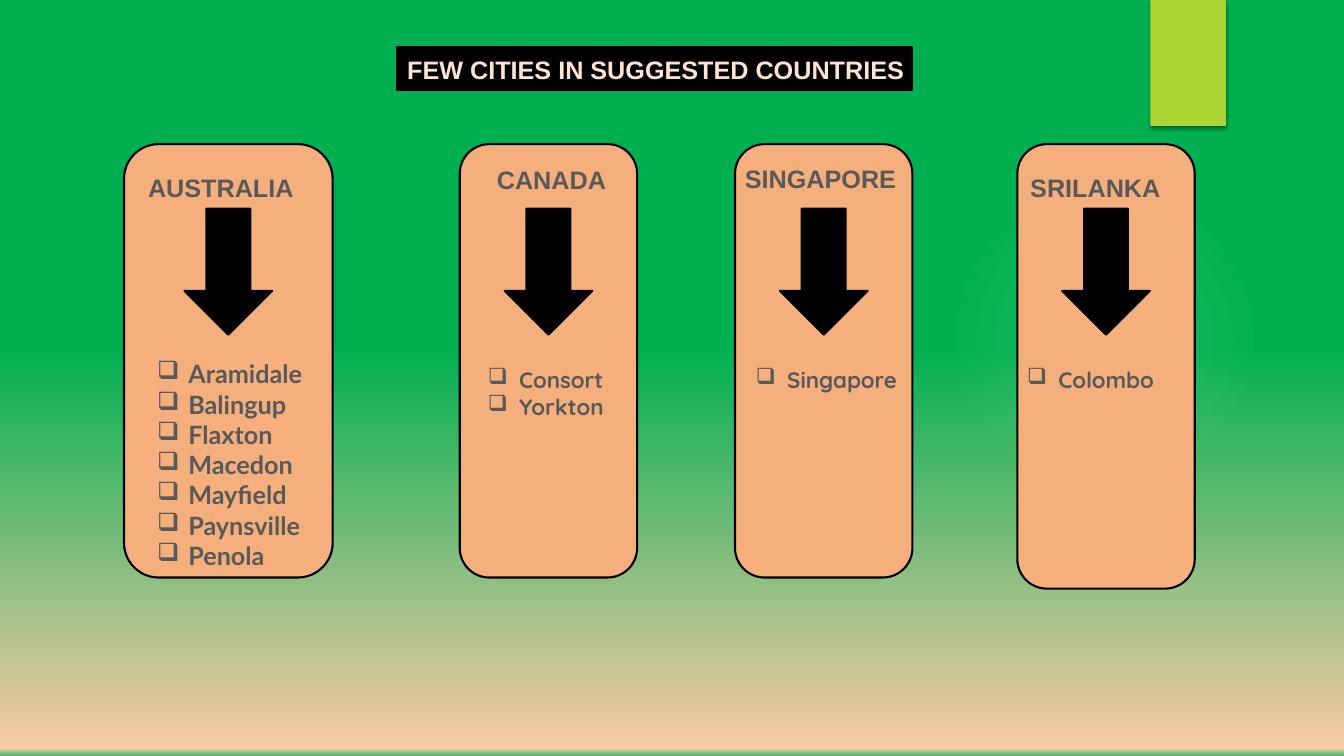
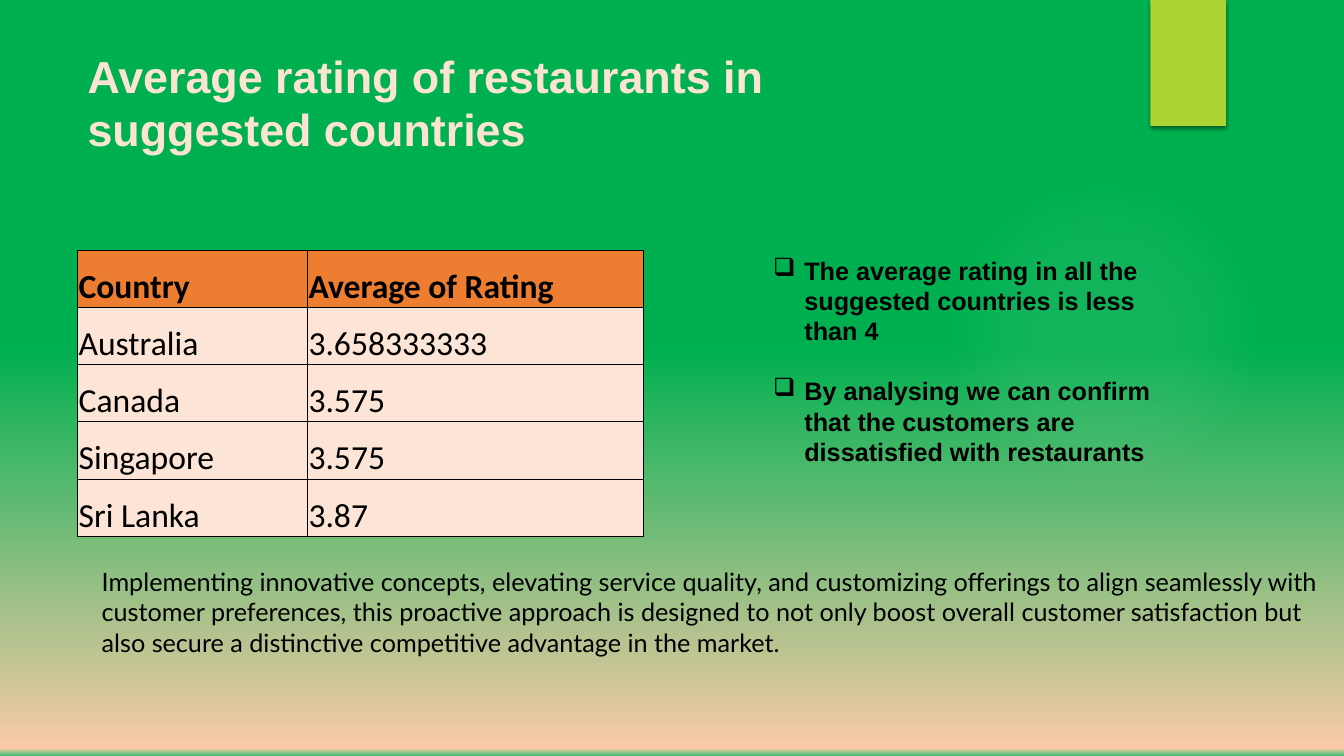
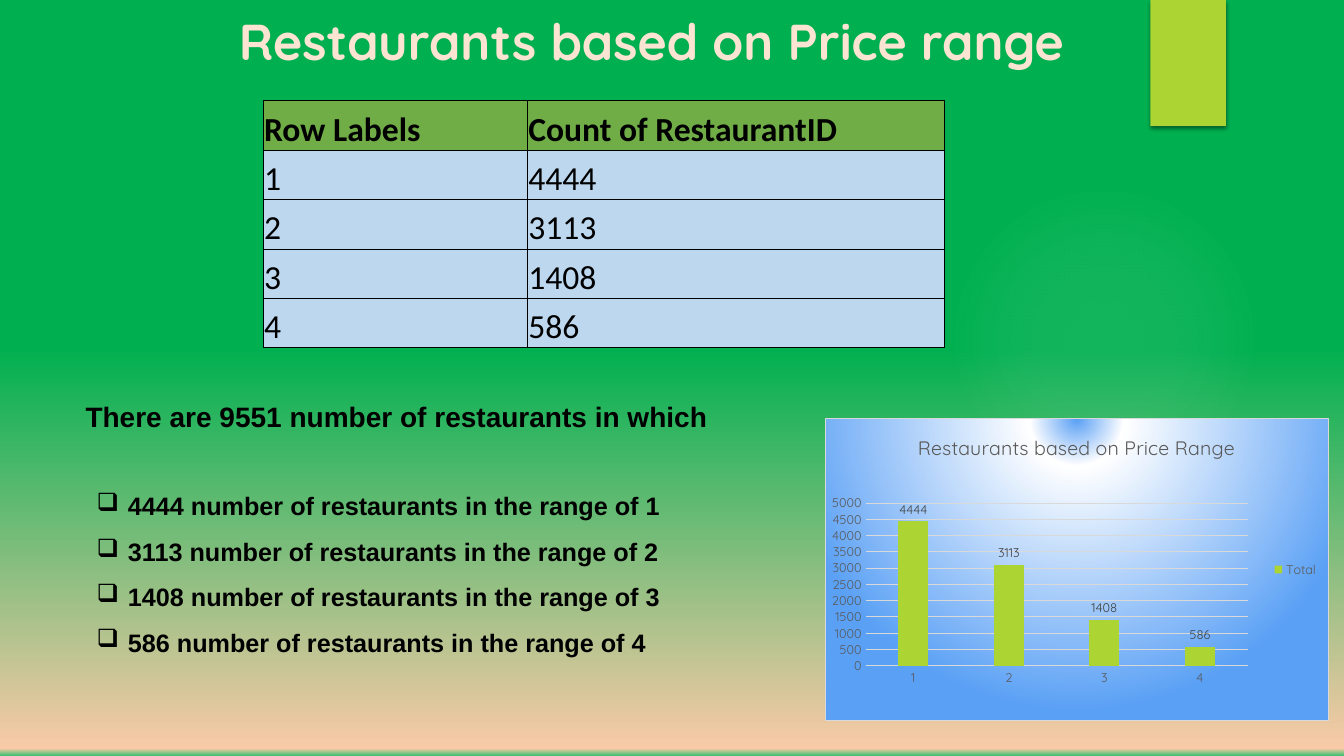
from dataclasses import dataclass

from pptx import Presentation
from pptx.chart.data import CategoryChartData
from pptx.dml.color import RGBColor
from pptx.enum.chart import XL_CHART_TYPE, XL_LABEL_POSITION, XL_LEGEND_POSITION, XL_TICK_MARK
from pptx.enum.shapes import MSO_SHAPE
from pptx.enum.text import MSO_ANCHOR, MSO_AUTO_SIZE
from pptx.oxml import parse_xml
from pptx.oxml.ns import nsdecls
from pptx.slide import Slide
from pptx.util import Inches, Pt

RECT = MSO_SHAPE.RECTANGLE
ROUND = MSO_SHAPE.ROUNDED_RECTANGLE
ARROW = MSO_SHAPE.DOWN_ARROW
OVAL = MSO_SHAPE.OVAL
COLUMN = XL_CHART_TYPE.COLUMN_CLUSTERED
OUTSIDE = XL_LABEL_POSITION.OUTSIDE_END
RIGHT = XL_LEGEND_POSITION.RIGHT
NO_TICK = XL_TICK_MARK.NONE
BOTTOM = MSO_ANCHOR.BOTTOM
GROW = MSO_AUTO_SIZE.SHAPE_TO_FIT_TEXT

BLACK, CREAM, GREY = "000000", "FCE4D3", "595959"
GREEN, PEACH, LIME, PALE = "00B050", "F5AF7C", "ACD433", "D9D9D9"
INDENT = 0.31

Box = tuple[float, float, float, float]


@dataclass(frozen=True)
class Style:
    size: float
    font: str = "Arial"
    color: str = BLACK
    bold: bool = True


@dataclass(frozen=True)
class Stop:
    at: int
    color: str
    alpha: int = 100


@dataclass(frozen=True)
class Card:
    name: str
    left: float
    width: float
    height: float
    label: tuple[float, float, float]
    list_box: Box
    style: Style
    towns: tuple[str, ...]


NAME = Style(18, color=GREY)
WIDE = Style(18, "Lato", GREY)
SMALL = Style(16, "Quicksand", GREY)
STRONG = Style(18)

CARDS = (
    Card("AUSTRALIA", 1.23, 2.07, 4.3, (1.37, 1.66, 1.93), (1.46, 3.51, 1.84, 2.22), WIDE,
         ("Aramidale", "Balingup", "Flaxton", "Macedon", "Mayfield", "Paynsville", "Penola")),
    Card("CANADA", 4.56, 1.76, 4.3, (4.83, 1.58, 1.34), (4.74, 3.58, 1.55, 0.64), SMALL,
         ("Consort", "Yorkton")),
    Card("SINGAPORE", 7.29, 1.76, 4.3, (7.29, 1.57, 1.76), (7.4, 3.58, 1.66, 0.37), SMALL,
         ("Singapore",)),
    Card("SRILANKA", 10.09, 1.76, 4.41, (10.12, 1.66, 1.76), (10.09, 3.58, 1.66, 0.37), SMALL,
         ("Colombo",)),
)

BACK = (Stop(46, GREEN), Stop(99, "F9CAA7"), Stop(100, "37BF6E"))
GLOW = (Stop(0, "F7F7F7", 7), Stop(36, "F7F7F7", 6), Stop(69, "F7F7F7", 0))
SKY = (Stop(0, "5AA0F5"), Stop(16, "FFFFFF"), Stop(100, "5AA0F5"))

RATINGS = (("Country", "Average of Rating"), ("Australia", "3.658333333"),
           ("Canada", "3.575"), ("Singapore", "3.575"), ("Sri Lanka", "3.87"))
COUNTS = {"1": 4444, "2": 3113, "3": 1408, "4": 586}


def rgb(color: str) -> RGBColor:
    return RGBColor.from_string(color)


def inches(box: Box) -> list[Inches]:
    return [Inches(n) for n in box]


def blend(stops: tuple[Stop, ...], focus: Box | None = None):
    """Gradient fill: downward, or circular around a focus given in percent."""
    marks = "".join(
        f'<a:gs pos="{s.at * 1000}"><a:srgbClr val="{s.color}">'
        f'<a:alpha val="{s.alpha * 1000}"/></a:srgbClr></a:gs>' for s in stops)
    if focus is None:
        course = '<a:lin ang="5400000" scaled="0"/>'
    else:
        left, top, right, bottom = (n * 1000 for n in focus)
        course = (f'<a:path path="circle"><a:fillToRect l="{left}" t="{top}" '
                  f'r="{right}" b="{bottom}"/></a:path>')
    return parse_xml(f'<a:gradFill {nsdecls("a")} rotWithShape="1">'
                     f'<a:gsLst>{marks}</a:gsLst>{course}</a:gradFill>')


def swap(root, route: str, fill) -> None:
    """Put a gradient in place of the solid fill found at the route."""
    old = root.xpath(route + "/a:solidFill")[0]
    old.getparent().replace(old, fill)


def set_font(font, style: Style) -> None:
    font.size, font.name, font.bold = Pt(style.size), style.font, style.bold
    font.color.rgb = rgb(style.color)


def add_shape(slide: Slide, kind, box: Box, fill: str, line: str | None = None):
    shape = slide.shapes.add_shape(kind, *inches(box))
    shape.shadow.inherit = False
    shape.fill.solid()
    shape.fill.fore_color.rgb = rgb(fill)
    if line:
        shape.line.color.rgb = rgb(line)
        shape.line.width = Pt(1.5)
    else:
        shape.line.fill.background()
    return shape


def add_text(slide: Slide, box: Box, lines: tuple[str, ...], style: Style,
             bullet: bool = False, gap: float = 0, pitch: float | None = None) -> None:
    frame = slide.shapes.add_textbox(*inches(box)).text_frame
    frame.word_wrap = True
    frame.auto_size = GROW
    for i, line in enumerate(lines):
        para = frame.add_paragraph() if i else frame.paragraphs[0]
        if bullet:
            props = para._p.get_or_add_pPr()
            props.set("marL", str(Inches(INDENT)))
            props.set("indent", str(-Inches(INDENT)))
            props.append(parse_xml(f'<a:buChar {nsdecls("a")} char="❑"/>'))
        if pitch:
            para.line_spacing = pitch
        if gap and i:
            para.space_before = Pt(gap)
        run = para.add_run()
        run.text = line
        set_font(run.font, style)


def add_grid(slide: Slide, box: Box, widths: tuple[float, ...],
             rows: tuple[tuple[str, ...], ...], head: str, body: str) -> None:
    table = slide.shapes.add_table(len(rows), len(widths), *inches(box)).table
    table.horz_banding = False
    for column, width in zip(table.columns, widths):
        column.width = Inches(width)
    for i, row in enumerate(rows):
        table.rows[i].height = Inches(box[3] / len(rows))
        for j, text in enumerate(row):
            cell = table.cell(i, j)
            cell.vertical_anchor = BOTTOM
            cell.margin_left = cell.margin_right = cell.margin_top = Inches(0.01)
            cell.margin_bottom = 0
            cell.fill.solid()
            cell.fill.fore_color.rgb = rgb(body if i else head)
            props = cell._tc.get_or_add_tcPr()
            for k, side in enumerate("LRTB"):
                props.insert(k, parse_xml(
                    f'<a:ln{side} {nsdecls("a")} w="{Pt(0.5)}"><a:solidFill>'
                    f'<a:srgbClr val="{BLACK}"/></a:solidFill></a:ln{side}>'))
            run = cell.text_frame.paragraphs[0].add_run()
            run.text = text
            set_font(run.font, Style(24, "Calibri", bold=i == 0))


def add_chart(slide: Slide, box: Box) -> None:
    data = CategoryChartData()
    data.categories = list(COUNTS)
    data.add_series("Total", list(COUNTS.values()))
    chart = slide.shapes.add_chart(COLUMN, *inches(box), data).chart
    small = Style(9, "Quicksand", GREY, False)
    set_font(chart.font, Style(10, "Quicksand", BLACK, False))

    chart.has_title = True
    run = chart.chart_title.text_frame.paragraphs[0].add_run()
    run.text = "Restaurants based on Price Range"
    set_font(run.font, Style(14, "Quicksand", GREY, False))
    chart.chart_title.include_in_layout = False

    chart.has_legend = True
    chart.legend.position = RIGHT
    chart.legend.include_in_layout = False
    set_font(chart.legend.font, small)

    values, groups = chart.value_axis, chart.category_axis
    for axis in (values, groups):
        axis.major_tick_mark = axis.minor_tick_mark = NO_TICK
        set_font(axis.tick_labels.font, small)
    values.minimum_scale, values.maximum_scale, values.major_unit = 0, 5000, 500
    values.format.line.fill.background()
    for line in (values.major_gridlines.format.line, groups.format.line):
        line.color.rgb = rgb(PALE)
        line.width = Pt(0.75)

    plot = chart.plots[0]
    plot.gap_width, plot.overlap, plot.vary_by_categories = 219, -27, False
    bars = plot.series[0].format.fill
    bars.solid()
    bars.fore_color.rgb = rgb(LIME)
    plot.has_data_labels = True
    labels = plot.data_labels
    labels.show_value, labels.position = True, OUTSIDE
    set_font(labels.font, Style(9, "Quicksand", "404040", False))

    space = chart._chartSpace
    area = space.xpath("c:chart/c:plotArea")[0]
    for old in area.xpath("c:layout"):
        area.remove(old)
    sides = "".join(f'<c:{key} val="{n}"/>' for key, n in
                    (("x", 0.08), ("y", 0.28), ("w", 0.76), ("h", 0.54)))
    area.insert(0, parse_xml(
        f'<c:layout {nsdecls("c")}><c:manualLayout><c:layoutTarget val="inner"/>'
        f'<c:xMode val="edge"/><c:yMode val="edge"/>{sides}</c:manualLayout></c:layout>'))
    props = parse_xml(
        f'<c:spPr {nsdecls("c", "a")}><a:ln w="{Pt(0.75)}"><a:solidFill>'
        f'<a:srgbClr val="{PALE}"/></a:solidFill></a:ln></c:spPr>')
    props.insert(0, blend(SKY, (50, -80, 50, 180)))
    space.xpath("c:chart")[0].addnext(props)


def add_slide(deck) -> Slide:
    """Blank slide with the soft glow and the lime tab."""
    slide = deck.slides.add_slide(deck.slide_layouts[6])
    glow = add_shape(slide, OVAL, (9.41, 1.83, 3.08, 3.08), "F7F7F7")
    swap(glow._element, "p:spPr", blend(GLOW, (50, 50, 50, 50)))
    tab = add_shape(slide, RECT, (11.41, 0, 0.75, 1.25), LIME)
    tab._element.xpath("p:spPr/a:effectLst")[0].append(parse_xml(
        f'<a:outerShdw {nsdecls("a")} blurRad="{Pt(3)}" dist="{Pt(2)}" dir="5400000" '
        f'rotWithShape="0"><a:srgbClr val="{BLACK}"><a:alpha val="45000"/>'
        f'</a:srgbClr></a:outerShdw>'))
    return slide


def draw_card(slide: Slide, card: Card) -> None:
    add_shape(slide, ROUND, (card.left, 1.43, card.width, card.height), PEACH, BLACK)
    add_text(slide, (*card.label, 0.4), (card.name,), NAME)
    middle = card.left + card.width / 2
    add_shape(slide, ARROW, (middle - 0.87 / 2, 2.07, 0.87, 1.25), BLACK, BLACK)
    add_text(slide, card.list_box, card.towns, card.style, bullet=True)


def draw_cities(slide: Slide) -> None:
    add_shape(slide, RECT, (3.94, 0.47, 5.11, 0.42), BLACK, BLACK)
    add_text(slide, (3.94, 0.49, 5.51, 0.4), ("FEW CITIES IN SUGGESTED COUNTRIES",),
             Style(18, color=CREAM))
    for card in CARDS:
        draw_card(slide, card)


def draw_ratings(slide: Slide) -> None:
    add_text(slide, (0.77, 0.43, 9.1, 1.18),
             ("Average rating of restaurants in suggested countries",), Style(32, color=CREAM))
    add_grid(slide, (0.77, 2.48, 5.61, 2.84), (2.28, 3.33), RATINGS, "ED7D31", "FCE4D6")
    add_text(slide, (7.57, 2.48, 4.33, 2.22), (
        "The average rating in all the suggested countries is less than 4",
        "By analysing we can confirm that the customers are dissatisfied with restaurants",
    ), STRONG, bullet=True, gap=21.5)
    add_text(slide, (0.91, 5.57, 12.32, 1.01), (
        "Implementing innovative concepts, elevating service quality, and customizing "
        "offerings to align seamlessly with customer preferences, this proactive approach "
        "is designed to not only boost overall customer satisfaction but also secure a "
        "distinctive competitive advantage in the market.",
    ), Style(18, "Lato", bold=False))


def draw_prices(slide: Slide) -> None:
    add_text(slide, (2.27, 0.05, 10.23, 0.71), ("Restaurants based on Price range",),
             Style(36, "Quicksand", CREAM))
    rows = (("Row Labels", "Count of RestaurantID"),
            *((key, str(count)) for key, count in COUNTS.items()))
    add_grid(slide, (2.61, 1, 6.75, 2.45), (2.62, 4.14), rows, "70AD47", "BDD7EE")
    add_chart(slide, (8.18, 4.15, 5, 3))
    add_text(slide, (0.75, 3.91, 7, 0.44),
             (f"There are {sum(COUNTS.values())} number of restaurants in which",), Style(20))
    add_text(slide, (0.86, 4.67, 6.28, 1.86),
             tuple(f"{count} number of restaurants in the range of {key}"
                   for key, count in COUNTS.items()),
             STRONG, bullet=True, pitch=1.5)


def main() -> None:
    deck = Presentation()
    deck.slide_width, deck.slide_height = Inches(13.33), Inches(7.5)
    master = deck.slide_master
    master.background.fill.solid()
    master.background.fill.fore_color.rgb = rgb(GREEN)
    swap(master._element, "p:cSld/p:bg/p:bgPr", blend(BACK))
    for draw in (draw_cities, draw_ratings, draw_prices):
        draw(add_slide(deck))
    deck.save("out.pptx")


if __name__ == "__main__":
    main()
